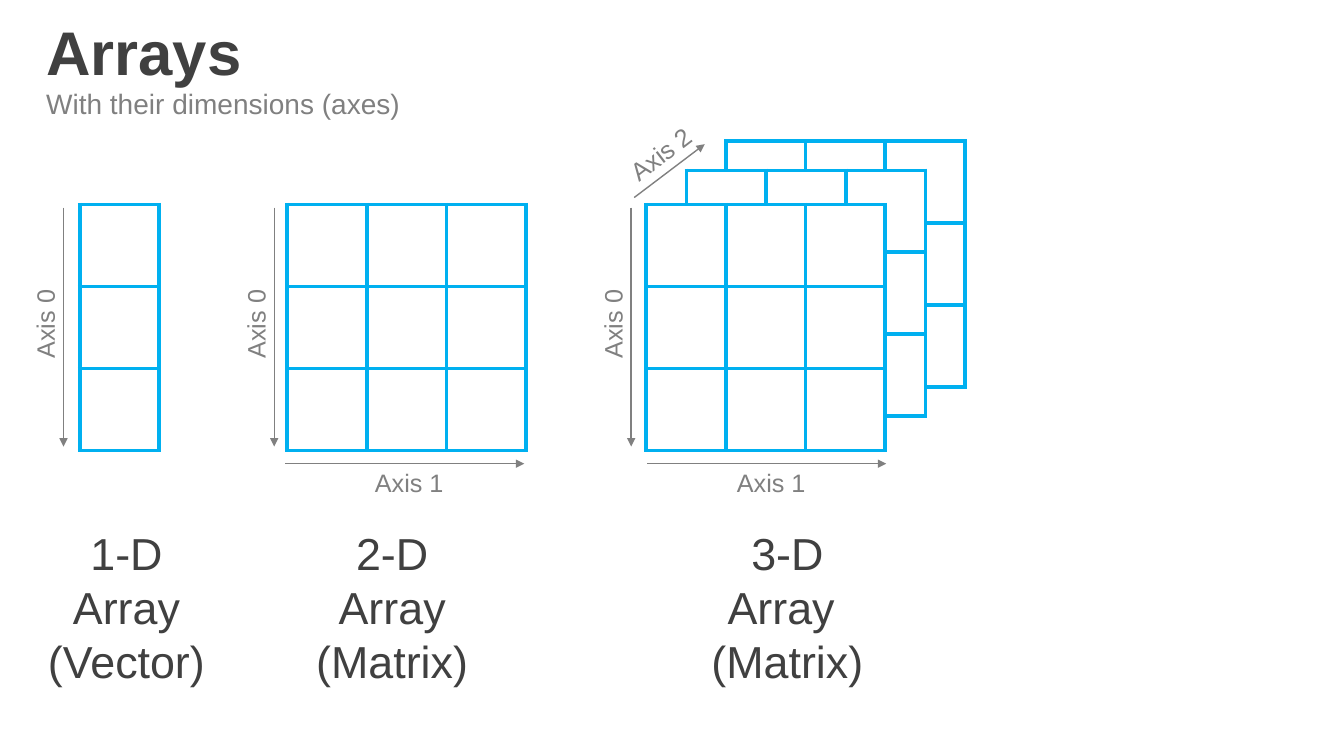
from lxml.etree import SubElement
from pptx import Presentation
from pptx.dml.color import RGBColor
from pptx.enum.shapes import MSO_CONNECTOR as Connector
from pptx.enum.text import MSO_AUTO_SIZE as AutoSize, PP_ALIGN as Align
from pptx.oxml.ns import qn
from pptx.util import Inches, Pt

DARK, GRAY, BLUE, WHITE = "404040", "808080", "00B0F0", "FFFFFF"
CELL_WIDTH, GRID_HEIGHT, GRID_TOP = 0.79, 2.44, 2.03
AXIS_LENGTH = 2.37
LABEL_WIDTH, LABEL_HEIGHT = 0.89, 0.4


def color(value):
    return RGBColor.from_string(value)


def add_text(page, left, top, width, height, text, size, ink,
             bold=False, align=Align.LEFT, rotation=0):
    box = page.shapes.add_textbox(Inches(left), Inches(top), Inches(width), Inches(height))
    box.rotation = rotation
    frame = box.text_frame
    frame.word_wrap = False
    frame.auto_size = AutoSize.SHAPE_TO_FIT_TEXT
    frame.text = text
    for para in frame.paragraphs:
        para.alignment = align
        para.font.name = "Arial"
        para.font.size = Pt(size)
        para.font.bold = bold
        para.font.color.rgb = color(ink)


def add_axis_label(page, left, top, number, rotation=0):
    add_text(page, left, top, LABEL_WIDTH, LABEL_HEIGHT, f"Axis {number}", 18, GRAY,
             rotation=rotation)


def add_arrow(page, start_x, start_y, end_x, end_y):
    arrow = page.shapes.add_connector(
        Connector.STRAIGHT, Inches(start_x), Inches(start_y), Inches(end_x), Inches(end_y))
    arrow.line.color.rgb = color(GRAY)
    arrow.line.width = Pt(1)
    SubElement(arrow.line._get_or_add_ln(), qn("a:tailEnd"), type="triangle")
    SubElement(arrow._element.spPr, qn("a:effectLst"))


def style_cell(cell):
    """Give a cell blue borders and a white fill."""
    properties = cell._tc.get_or_add_tcPr()
    for side in ("lnL", "lnR", "lnT", "lnB"):
        border = SubElement(properties, qn(f"a:{side}"), w=str(Pt(3)))
        fill = SubElement(border, qn("a:solidFill"))
        SubElement(fill, qn("a:srgbClr"), val=BLUE)
    cell.fill.solid()
    cell.fill.fore_color.rgb = color(WHITE)


def add_grid(page, left, top, columns):
    table = page.shapes.add_table(
        3, columns, Inches(left), Inches(top),
        Inches(columns * CELL_WIDTH), Inches(GRID_HEIGHT)).table
    table.first_row = False
    table.horz_banding = False
    for cell in table.iter_cells():
        style_cell(cell)


def add_axis_0(page, x):
    top = GRID_TOP + 0.03
    add_arrow(page, x, top, x, top + AXIS_LENGTH)
    add_axis_label(page, x - 0.63, 3.01, 0, rotation=270)


def add_axis_1(page, left):
    y = GRID_TOP + GRID_HEIGHT + 0.13
    add_arrow(page, left, y, left + AXIS_LENGTH, y)
    add_axis_label(page, left + CELL_WIDTH, y - 0.01, 1)


def add_axis_2(page, left, top):
    add_arrow(page, left, top + 0.53, left + 0.7, top)
    add_axis_label(page, left - 0.18, top - 0.11, 2, rotation=322.6)


def add_caption(page, left, width, text):
    add_text(page, left, 5.17, width, 1.72, text, 32, DARK, align=Align.CENTER)


def add_heading(page, left, top):
    add_text(page, left, top, 2.16, 0.84, "Arrays", 44, DARK, bold=True)
    add_text(page, left, top + 0.72, 3.74, 0.44, "With their dimensions (axes)", 20, GRAY)


def add_vector(page, left):
    add_grid(page, left, GRID_TOP, 1)
    add_axis_0(page, left - 0.16)
    add_caption(page, left - 0.42, 1.77, "1-D\nArray\n(Vector)")


def add_matrix(page, left):
    add_grid(page, left, GRID_TOP, 3)
    add_axis_0(page, left - 0.13)
    add_axis_1(page, left - 0.02)
    add_caption(page, left + 0.18, 1.72, "2-D\nArray\n(Matrix)")


def add_stack(page, left):
    for shift, rise in ((0.79, 0.63), (0.4, 0.34), (0, 0)):
        add_grid(page, left + shift, GRID_TOP - rise, 3)
    add_axis_0(page, left - 0.15)
    add_axis_1(page, left + 0.01)
    add_axis_2(page, left - 0.12, GRID_TOP - 0.6)
    add_caption(page, left + 0.54, 1.72, "3-D\nArray \n(Matrix)")


def main():
    deck = Presentation()
    deck.slide_width, deck.slide_height = Inches(13.33), Inches(7.5)
    page = deck.slides.add_slide(deck.slide_layouts[6])
    add_heading(page, 0.36, 0.09)
    add_vector(page, 0.79)
    add_matrix(page, 2.85)
    add_stack(page, 6.41)
    deck.save("out.pptx")


if __name__ == "__main__":
    main()
